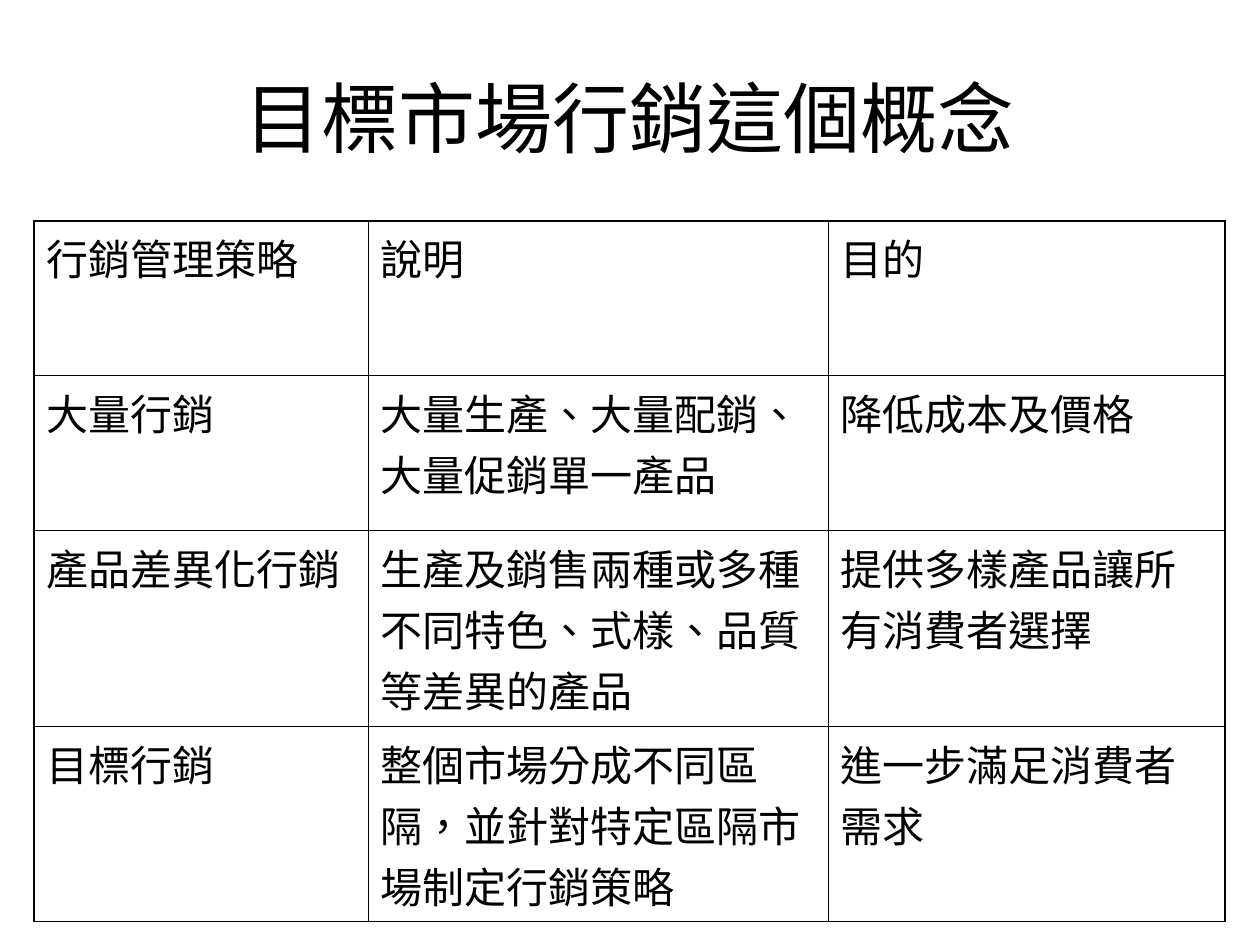
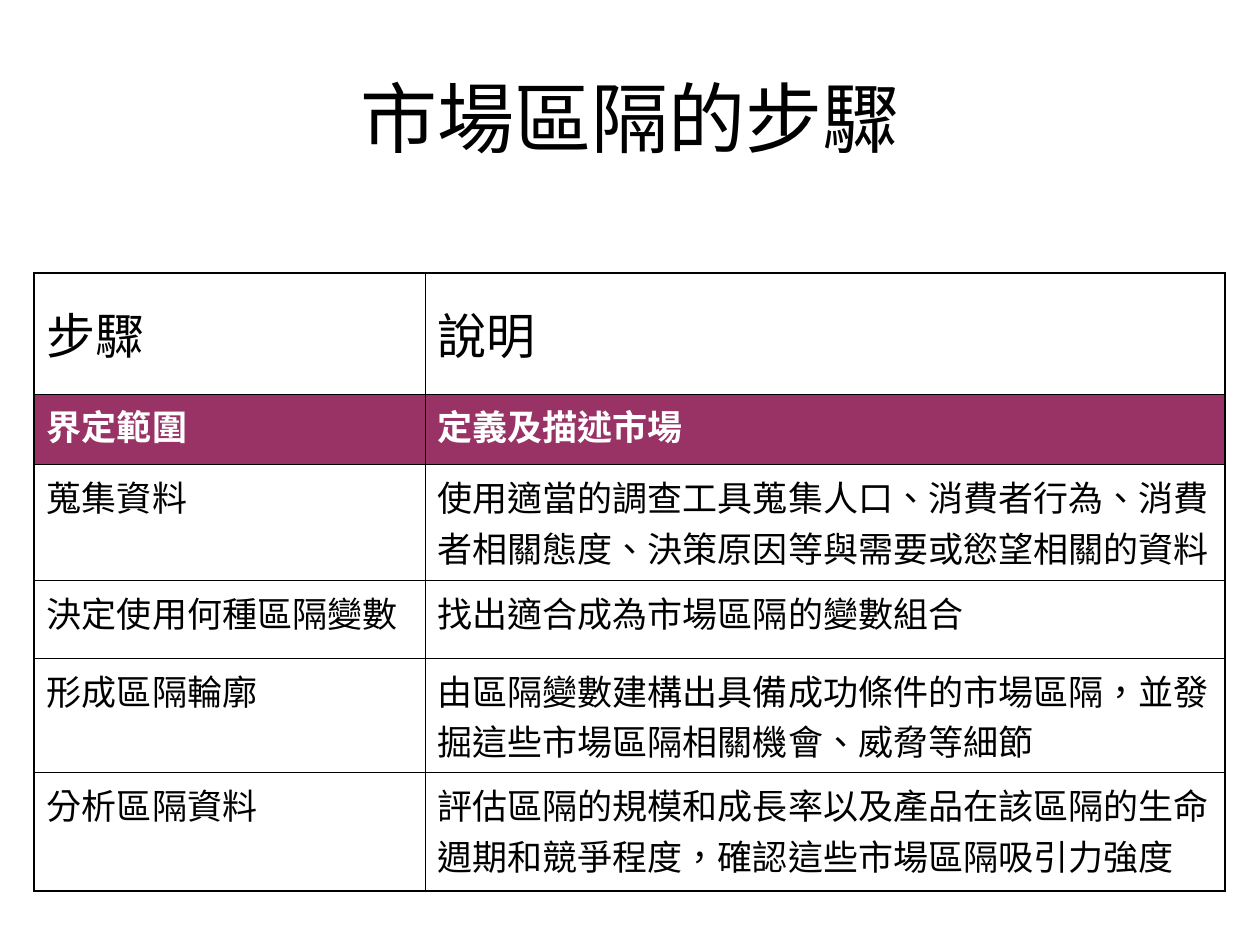
from dataclasses import dataclass
from typing import NamedTuple

from lxml.etree import SubElement
from pptx import Presentation
from pptx.dml.color import RGBColor
from pptx.enum.lang import MSO_LANGUAGE_ID as Language
from pptx.enum.text import MSO_ANCHOR as Anchor, MSO_AUTO_SIZE as AutoSize, PP_ALIGN as Align
from pptx.oxml.ns import qn
from pptx.util import Pt

BLACK = RGBColor(0x00, 0x00, 0x00)
WHITE = RGBColor(0xFF, 0xFF, 0xFF)
PLUM = RGBColor(0x99, 0x33, 0x66)

ARIAL = "Arial"
NOTO_SC = "Noto Sans CJK SC"
NOTO_TC = "Noto Sans CJK TC"

TABLE_LEFT = Pt(19.6)
OUTER_LINE, INNER_LINE = Pt(1.08), Pt(0.45)
INSETS = {"margin_left": Pt(7.2), "margin_right": Pt(7.2),
          "margin_top": Pt(3.6), "margin_bottom": Pt(3.6)}


class Piece(NamedTuple):
    """Some words and their font."""
    words: str
    font: str


@dataclass(frozen=True)
class RowStyle:
    size: float
    color: RGBColor = BLACK
    bold: bool = False
    fill: RGBColor | None = None
    anchor: Anchor = Anchor.TOP


@dataclass(frozen=True)
class Row:
    height: float
    style: RowStyle
    cells: list[list[Piece]]


@dataclass(frozen=True)
class TableSlide:
    title: Piece
    top: float
    widths: list[float]
    rows: list[Row]


# Row styles
STRATEGY = RowStyle(24)
STEP_HEADING = RowStyle(28, anchor=Anchor.MIDDLE)
STEP_CURRENT = RowStyle(20, WHITE, True, PLUM)
STEP = RowStyle(20, fill=WHITE)


def strategy_row(height: float, *texts: str) -> Row:
    return Row(height, STRATEGY, [[Piece(text, NOTO_SC)] for text in texts])


def step_row(height: float, style: RowStyle, step: str, *description: str) -> Row:
    """Description parts alternate between the two fonts, starting with Arial."""
    pieces = [Piece(text, NOTO_TC if i % 2 else ARIAL) for i, text in enumerate(description)]
    return Row(height, style, [[Piece(step, NOTO_TC)], pieces])


SLIDES = [
    TableSlide(
        Piece("目標市場行銷這個概念", ARIAL), 126.2, [190.8, 262.8, 226.8],
        [
            strategy_row(88.56, "行銷管理策略", "說明", "目的"),
            strategy_row(88.56, "大量行銷", "大量生產、大量配銷、大量促銷單一產品", "降低成本及價格"),
            strategy_row(93.6, "產品差異化行銷",
                         "生產及銷售兩種或多種不同特色、式樣、品質等差異的產品",
                         "提供多樣產品讓所有消費者選擇"),
            strategy_row(93.6, "目標行銷",
                         "整個市場分成不同區隔，並針對特定區隔市場制定行銷策略",
                         "進一步滿足消費者需求"),
        ]),
    TableSlide(
        Piece("市場區隔的步驟", NOTO_SC), 156, [223.2, 457.2],
        [
            step_row(69.12, STEP_HEADING, "步驟", "說明"),
            step_row(40.32, STEP_CURRENT, "界定範圍", "定義及描述市場"),
            step_row(66.24, STEP, "蒐集資料", "使用", "適當的調查工具蒐集人口",
                     "、消費者行為、消費者相關態度、決策原因等與需要或慾望相關的資料"),
            step_row(44.4, STEP, "決定使用何種區隔變數", "找出適合成為市場區隔的變數組合"),
            step_row(59.04, STEP, "形成區隔輪廓", "由", "區隔變數建構出具備成功條件的市場區隔",
                     "，並發掘這些市場區隔相關機會、威脅等細節"),
            step_row(67.68, STEP, "分析區隔資料",
                     "評估區隔的規模和成長率以及產品在該區隔的生命週期和競爭程度，"
                     "確認這些市場區隔吸引力強度"),
        ]),
]


def apply(target: object, values: dict[str, object]) -> None:
    for key, value in values.items():
        setattr(target, key, value)


def write(paragraph, pieces: list[Piece], style: RowStyle) -> None:
    # Keep punctuation inside the text area
    paragraph._p.get_or_add_pPr().set("hangingPunct", "0")
    for piece in pieces:
        run = paragraph.add_run()
        run.text = piece.words
        apply(run.font, {"size": Pt(style.size), "bold": style.bold, "name": piece.font,
                         "language_id": Language.TRADITIONAL_CHINESE})
        run.font.color.rgb = style.color
        # East Asian typeface
        east_asian = NOTO_TC if piece.font == ARIAL else piece.font
        SubElement(run.font._element, qn("a:ea"), typeface=east_asian)


def draw_border(cell, side: str, width: int) -> None:
    line = SubElement(cell._tc.get_or_add_tcPr(), qn(f"a:ln{side}"), w=str(int(width)))
    fill = SubElement(line, qn("a:solidFill"))
    SubElement(fill, qn("a:srgbClr"), val=str(BLACK))


def draw_title(slide, title: Piece) -> None:
    heading = slide.shapes.title
    apply(heading, {"left": Pt(36), "top": Pt(21.6), "width": Pt(648), "height": Pt(90)})
    apply(heading.text_frame, INSETS | {"word_wrap": True, "auto_size": AutoSize.NONE,
                                        "vertical_anchor": Anchor.MIDDLE})
    paragraph = heading.text_frame.paragraphs[0]
    apply(paragraph, {"alignment": Align.CENTER, "space_before": Pt(0)})
    write(paragraph, [title], RowStyle(44))


def draw_table(slide, content: TableSlide) -> None:
    rows, widths = content.rows, content.widths
    last_row, last_column = len(rows) - 1, len(widths) - 1
    table = slide.shapes.add_table(
        len(rows), len(widths), TABLE_LEFT, Pt(content.top),
        Pt(sum(widths)), Pt(sum(row.height for row in rows))).table
    apply(table, {"first_row": False, "horz_banding": False})
    for column, width in zip(table.columns, widths):
        column.width = Pt(width)

    for r, row in enumerate(rows):
        table.rows[r].height = Pt(row.height)
        for c, pieces in enumerate(row.cells):
            cell = table.cell(r, c)
            apply(cell, INSETS | {"vertical_anchor": row.style.anchor})
            # Heavier lines on the outer edge
            edges = {"L": c == 0, "R": c == last_column, "T": r == 0, "B": r == last_row}
            for side, is_outer in edges.items():
                draw_border(cell, side, OUTER_LINE if is_outer else INNER_LINE)
            if row.style.fill is None:
                cell.fill.background()
            else:
                cell.fill.solid()
                cell.fill.fore_color.rgb = row.style.fill
            write(cell.text_frame.paragraphs[0], pieces, row.style)


def main() -> None:
    deck = Presentation()
    apply(deck, {"slide_width": Pt(720), "slide_height": Pt(540)})
    title_only = deck.slide_layouts[5]
    for content in SLIDES:
        slide = deck.slides.add_slide(title_only)
        draw_title(slide, content.title)
        draw_table(slide, content)
    deck.save("out.pptx")


if __name__ == "__main__":
    main()
